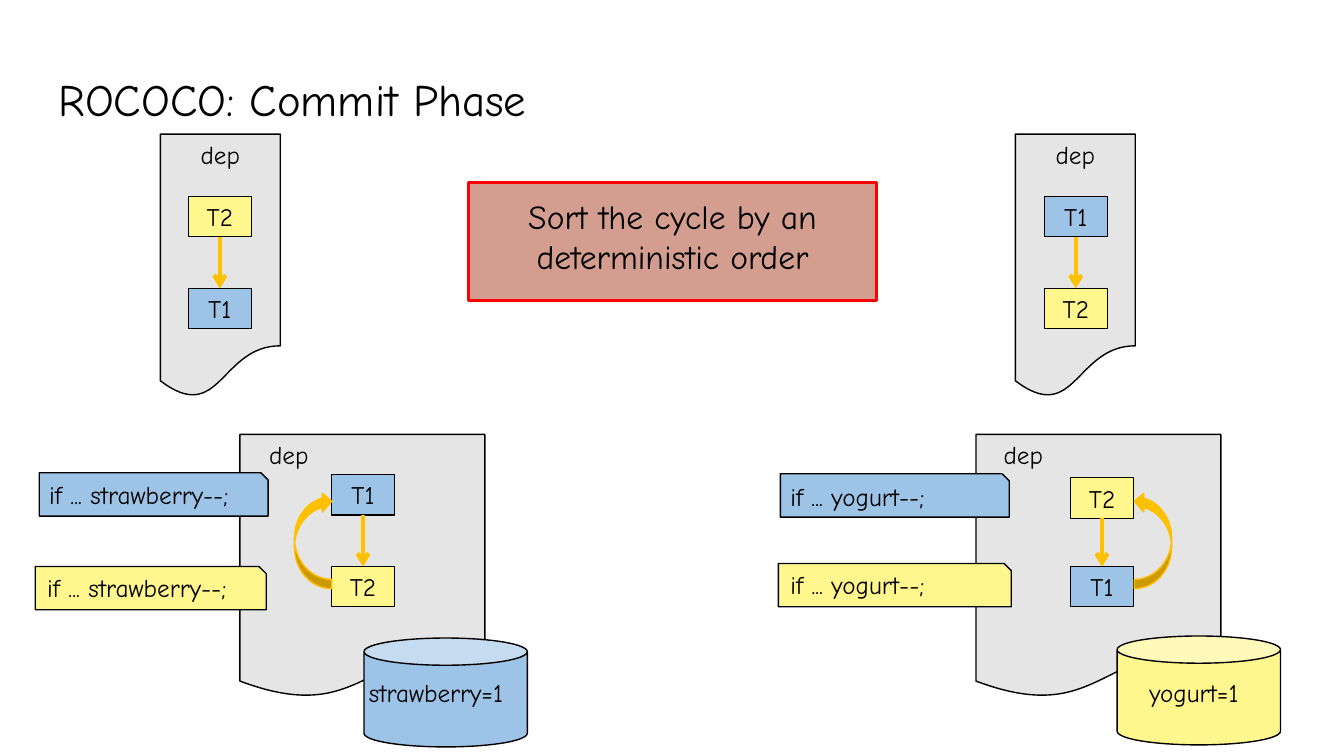
from lxml import etree
from pptx import Presentation
from pptx.dml.color import RGBColor
from pptx.enum.shapes import MSO_CONNECTOR, MSO_SHAPE
from pptx.enum.text import MSO_ANCHOR, PP_ALIGN
from pptx.oxml.ns import qn
from pptx.util import Inches, Pt

LEFT, MID = PP_ALIGN.LEFT, PP_ALIGN.CENTER
TOP, CENTRE = MSO_ANCHOR.TOP, MSO_ANCHOR.MIDDLE
BOX, CAN = MSO_SHAPE.RECTANGLE, MSO_SHAPE.CAN
PAGE, SNIP = MSO_SHAPE.FLOWCHART_DOCUMENT, MSO_SHAPE.SNIP_1_RECTANGLE
BEND_L, BEND_R = MSO_SHAPE.CURVED_LEFT_ARROW, MSO_SHAPE.CURVED_RIGHT_ARROW

THEME = dict(font="Comic Neue", title=32, note=24, body=18, ink="000000",
             page="E5E5E5", blue="9DC3E6", gold="FFF68D", arrow="FFC000",
             note_fill="D39E90", note_line="FF0000")

# Content, lengths in inches
TITLE = "ROCOCO: Commit Phase"
NOTE = ["Sort the cycle by an", "deterministic order"]
TINT = {"T1": "blue", "T2": "gold"}
# page left, top, width; label width; node left, top, step; order
GRAPHS = [
    (1.59, 1.33, 1.19, 1.19, 1.87, 1.95, 0.91, ("T2", "T1")),
    (10.07, 1.33, 1.19, 1.19, 10.36, 1.95, 0.91, ("T1", "T2")),
    (2.38, 4.31, 2.43, 0.97, 3.29, 4.71, 0.91, ("T1", "T2")),
    (9.68, 4.31, 2.43, 0.94, 10.62, 4.74, 0.88, ("T2", "T1")),
]
# left, top, width, tint, text, text left, text top
CARDS = [
    (0.39, 4.69, 2.27, "blue", "if ... strawberry--;", 0.39, 4.71),
    (0.35, 5.62, 2.29, "gold", "if ... strawberry--;", 0.37, 5.63),
    (7.74, 4.70, 2.27, "blue", "if ... yogurt--;", 7.74, 4.73),
    (7.72, 5.59, 2.31, "gold", "if ... yogurt--;", 7.74, 5.60),
]
# left, top, tint, text, text left, text width
STORES = [
    (3.61, 6.33, "blue", "strawberry=1", 3.56, 2.12),
    (11.08, 6.31, "gold", "yogurt=1", 11.30, 1.45),
]
BENDS = [(BEND_L, 2.92), (BEND_R, 11.25)]
PAGE_H, CARD_H, ROW_H, NODE_W = 2.62, 0.43, 0.40, 0.62
CAN_W, CAN_H = 1.62, 1.08

deck = Presentation()
deck.slide_width, deck.slide_height = Inches(13.33), Inches(7.5)
slide = deck.slides.add_slide(deck.slide_layouts[6])


def tone(name):
    return RGBColor.from_string(THEME[name])


def write(shape, lines, size="body", align=LEFT, anchor=TOP, pad=None, lead=None):
    frame = shape.text_frame
    form = dict(word_wrap=True, vertical_anchor=anchor)
    if pad:
        for side in ("left", "right", "top", "bottom"):
            form["margin_" + side] = Inches(pad)
    for key, val in form.items():
        setattr(frame, key, val)
    for i, line in enumerate(lines):
        para = frame.add_paragraph() if i else frame.paragraphs[0]
        para.alignment = align
        if lead:
            para.line_spacing = lead
        run = para.add_run()
        run.text = line
        run.font.color.rgb = tone("ink")
        for key, val in dict(name=THEME["font"], size=Pt(THEME[size])).items():
            setattr(run.font, key, val)


def label(x, y, w, h, lines, **form):
    write(slide.shapes.add_textbox(*map(Inches, (x, y, w, h))), lines, **form)


def draw(kind, x, y, w, h, fill, line="ink", width=1):
    shape = slide.shapes.add_shape(kind, *map(Inches, (x, y, w, h)))
    shape.shadow.inherit = False
    shape.fill.solid()
    shape.fill.fore_color.rgb = tone(fill)
    shape.line.color.rgb = tone(line)
    shape.line.width = Pt(width)
    return shape


def arrow(x, y, end):
    link = slide.shapes.add_connector(
        MSO_CONNECTOR.STRAIGHT, *map(Inches, (x, y, x, end)))
    link.line.color.rgb = tone("arrow")
    link.line.width = Pt(3)
    etree.SubElement(link.line._get_or_add_ln(), qn("a:tailEnd"), type="arrow")
    etree.SubElement(link._element.spPr, qn("a:effectLst"))


# Title and note
label(0.45, 0.64, 7.16, 0.82, [TITLE], size="title", pad=0.13, lead=0.9)
note = draw(BOX, 4.65, 1.81, 4.04, 1.17, "note_fill", "note_line", 2.25)
write(note, NOTE, size="note", align=MID, pad=0.13)

# Dependency graphs
for x, y, w, dep_w, col, row, step, order in GRAPHS:
    draw(PAGE, x, y, w, PAGE_H, "page")
    label(x, y, dep_w, ROW_H, ["dep"], align=MID)
    for i, name in enumerate(order):
        node = draw(BOX, col, row + i * step, NODE_W, ROW_H, TINT[name], width=0.75)
        write(node, [name], align=MID, anchor=CENTRE)
    arrow(col + NODE_W / 2, row + ROW_H, row + step)

# Arrows that close the cycles
for kind, x in BENDS:
    draw(kind, x, 4.88, 0.37, 0.96, "arrow", "arrow").rotation = 180

# Data stores
for x, y, tint, text, left, w in STORES:
    draw(CAN, x, y, CAN_W, CAN_H, tint)
    label(left, 6.67, w, ROW_H, [text])

# Statement cards
for x, y, w, tint, text, left, top in CARDS:
    draw(SNIP, x, y, w, CARD_H, tint)
    label(left, top, w, ROW_H, [text])

deck.save("out.pptx")
